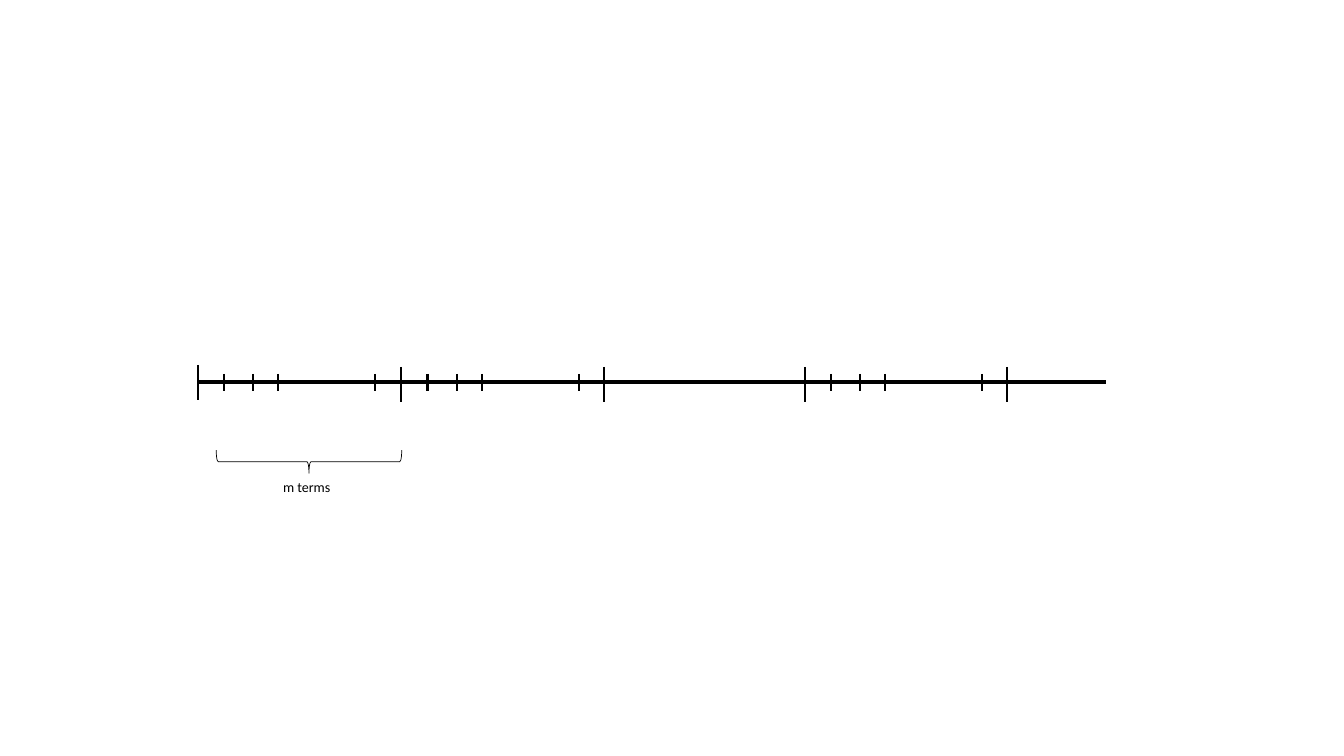
"""Build a slide with a number line split into blocks of m terms."""
from lxml.etree import SubElement
from pptx import Presentation
from pptx.dml.color import RGBColor
from pptx.enum.shapes import MSO_CONNECTOR, MSO_SHAPE
from pptx.enum.text import MSO_AUTO_SIZE, PP_ALIGN
from pptx.oxml.ns import qn
from pptx.util import Inches, Pt

BLACK = RGBColor(0, 0, 0)
LABEL = "m terms"
AXIS_START, AXIS_END, AXIS_Y = 1.96, 10.97, 3.79
MAJOR_TICKS = [(1.96, 3.62), (3.98, 3.64), (5.99, 3.64), (7.98, 3.64), (9.99, 3.64)]
MAJOR_HEIGHT = 0.35
BLOCK_STARTS = [1.96, 3.98, 7.98]
MINOR_OFFSETS = [0.26, 0.55, 0.8, 1.76]
MINOR_TOP, MINOR_HEIGHT = 3.71, 0.17
BRACE = (2.95, 3.66, 0.23, 1.84)
LABEL_BOX = (2.71, 4.7, 0.69, 0.27)


def add_line(shapes, start, end, width):
    line = shapes.add_connector(
        MSO_CONNECTOR.STRAIGHT, *(Inches(value) for value in (*start, *end))
    )
    line.line.color.rgb = BLACK
    line.line.width = Pt(width)
    SubElement(line._element.spPr, qn("a:effectLst"))


def add_tick(shapes, x, top, height):
    add_line(shapes, (x, top), (x, top + height), 1.5)


def add_brace(page):
    brace = page.shapes.add_shape(
        MSO_SHAPE.LEFT_BRACE, *(Inches(value) for value in BRACE)
    )
    brace.rotation = 270
    brace.shadow.inherit = False
    brace.fill.background()
    brace.line.color.rgb = BLACK
    brace.line.width = Pt(0.5)


def add_label(page):
    box = page.shapes.add_textbox(*(Inches(value) for value in LABEL_BOX))
    frame = box.text_frame
    frame.word_wrap = False
    frame.auto_size = MSO_AUTO_SIZE.SHAPE_TO_FIT_TEXT
    para = frame.paragraphs[0]
    para.alignment = PP_ALIGN.LEFT
    span = para.add_run()
    span.text = LABEL
    span.font.name = "Calibri"
    span.font.size = Pt(10)
    span.font.color.rgb = BLACK


def main():
    deck = Presentation()
    deck.slide_width, deck.slide_height = Inches(13.33), Inches(7.5)
    page = deck.slides.add_slide(deck.slide_layouts[6])
    add_line(page.shapes, (AXIS_START, AXIS_Y), (AXIS_END, AXIS_Y), 2.25)
    for x, top in MAJOR_TICKS:
        add_tick(page.shapes, x, top, MAJOR_HEIGHT)
    for start in BLOCK_STARTS:
        block = page.shapes.add_group_shape()
        for offset in MINOR_OFFSETS:
            add_tick(block.shapes, start + offset, MINOR_TOP, MINOR_HEIGHT)
    add_brace(page)
    add_label(page)
    deck.save("out.pptx")


if __name__ == "__main__":
    main()
